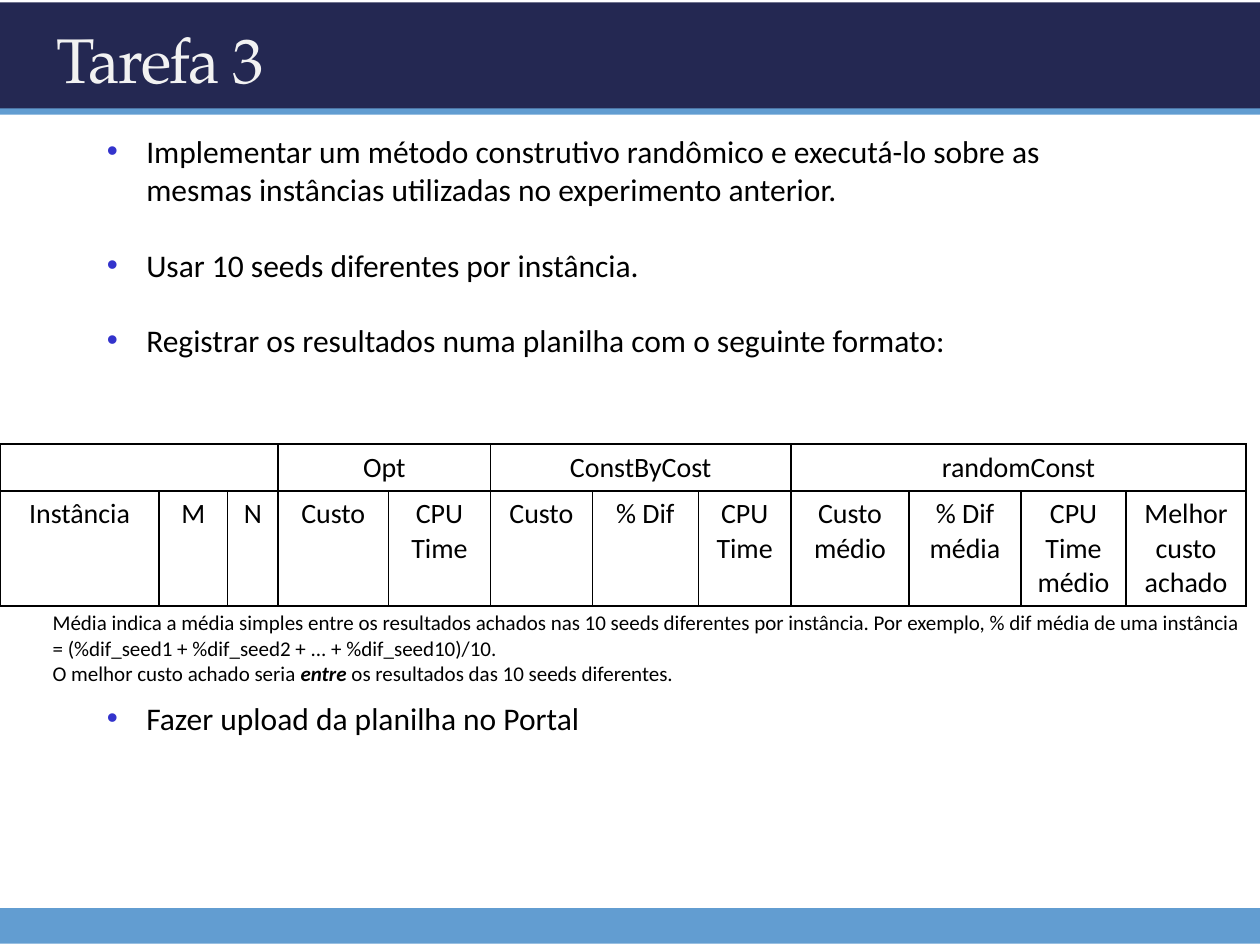
from dataclasses import dataclass

from lxml.etree import SubElement
from pptx import Presentation
from pptx.dml.color import RGBColor
from pptx.enum.shapes import MSO_SHAPE
from pptx.enum.text import MSO_ANCHOR, PP_ALIGN
from pptx.oxml.ns import qn
from pptx.util import Pt

COLORS = {
    "navy": "242852",
    "blue": "629DD1",
    "title": "F2F2F2",
    "bullet": "3333CC",
    "ink": "000000",
}
LINE = 21.6


@dataclass
class Band:
    top: float
    height: float
    color: str


@dataclass
class Item:
    text: str
    before: float


@dataclass
class Group:
    text: str
    heads: list[str]


BANDS = [
    Band(1.4, 62, "navy"),
    Band(519, 20.2, "blue"),
    Band(62, 3.6, "blue"),
]
ITEMS = [
    Item("Implementar um método construtivo randômico e executá-lo sobre as "
         "mesmas instâncias utilizadas no experimento anterior.", 0),
    Item("Usar 10 seeds diferentes por instância.", LINE),
    Item("Registrar os resultados numa planilha com o seguinte formato:", LINE),
    Item("Fazer upload da planilha no Portal", 9 * LINE),
]
GROUPS = [
    Group("", ["Instância", "M", "N"]),
    Group("Opt", ["Custo", "CPU Time"]),
    Group("ConstByCost", ["Custo", "% Dif", "CPU Time"]),
    Group("randomConst", ["Custo\nmédio", "% Dif\nmédia", "CPU Time médio",
                          "Melhor custo achado"]),
]
WIDTHS = [91, 39, 29, 63, 58.3, 58.3, 60.5, 53, 67.5, 64, 60, 68.6]
ROWS = [26.7, 65.8]
NOTES = [
    ["Média indica a média simples entre os resultados achados nas 10 seeds "
     "diferentes por instância. Por exemplo, % dif média de uma instância = "
     "(%dif_seed1 + %dif_seed2 + ... + %dif_seed10)/10."],
    ["O melhor custo achado seria ", "entre",
     " os resultados das 10 seeds diferentes."],
]


def rgb(name: str) -> RGBColor:
    return RGBColor.from_string(COLORS[name])


def style(frame, size: float, color: str = "ink", face: str = "Calibri") -> None:
    for para in frame.paragraphs:
        for run in para.runs:
            run.font.size = Pt(size)
            run.font.name = face
            run.font.color.rgb = rgb(color)


def add_box(slide, left: float, top: float, width: float, height: float):
    box = slide.shapes.add_textbox(Pt(left), Pt(top), Pt(width), Pt(height))
    box.text_frame.word_wrap = True
    return box.text_frame


def add_band(slide, band: Band) -> None:
    rect = slide.shapes.add_shape(
        MSO_SHAPE.RECTANGLE, 0, Pt(band.top), Pt(720), Pt(band.height))
    rect.shadow.inherit = False
    rect.fill.solid()
    rect.fill.fore_color.rgb = rgb(band.color)
    rect.line.fill.background()


def add_title(slide, text: str) -> None:
    frame = add_box(slide, 32.4, 0.7, 680, 65.5)
    frame.margin_left = frame.margin_right = 0
    frame.margin_top = frame.margin_bottom = 0
    frame.vertical_anchor = MSO_ANCHOR.MIDDLE
    frame.text = text
    style(frame, 36, "title", "TeX Gyre Pagella")
    frame.paragraphs[0].runs[0].font._element.set("spc", "-100")


def add_list(slide, items: list[Item]) -> None:
    frame = add_box(slide, 54, 72, 603.4, 393)
    frame.text = "\n".join(item.text for item in items)
    for para, item in zip(frame.paragraphs, items):
        para.line_spacing = Pt(LINE)
        para.space_before = Pt(item.before)
        # Bullet with hanging indent
        props = para._p.get_or_add_pPr()
        props.set("marL", str(Pt(22.5)))
        props.set("indent", str(-Pt(22.5)))
        tint = SubElement(props, qn("a:buClr"))
        SubElement(tint, qn("a:srgbClr"), val=COLORS["bullet"])
        SubElement(props, qn("a:buFont"), typeface="Arial")
        SubElement(props, qn("a:buChar"), char="•")
    style(frame, 18)


def set_cell(cell, text: str) -> None:
    cell.text_frame.text = text
    for para in cell.text_frame.paragraphs:
        para.alignment = PP_ALIGN.CENTER
    style(cell.text_frame, 16)


def frame_cell(cell) -> None:
    props = cell._tc.get_or_add_tcPr()
    for side in ("lnL", "lnR", "lnT", "lnB"):
        line = SubElement(props, qn(f"a:{side}"), w=str(Pt(1)))
        fill = SubElement(line, qn("a:solidFill"))
        SubElement(fill, qn("a:srgbClr"), val=COLORS["ink"])
    cell.fill.background()
    if not cell.text_frame.text:
        cell.margin_top = cell.margin_bottom = 0


def add_grid(slide, groups: list[Group]) -> None:
    table = slide.shapes.add_table(
        len(ROWS), len(WIDTHS), 0, Pt(253.8), Pt(sum(WIDTHS)), Pt(sum(ROWS))).table
    table.first_row = table.horz_banding = False
    for col, width in zip(table.columns, WIDTHS):
        col.width = Pt(width)
    for row, height in zip(table.rows, ROWS):
        row.height = Pt(height)
    # Group names span their column heads
    start = 0
    for group in groups:
        end = start + len(group.heads)
        table.cell(0, start).merge(table.cell(0, end - 1))
        set_cell(table.cell(0, start), group.text)
        for col, head in enumerate(group.heads, start):
            set_cell(table.cell(1, col), head)
        start = end
    for cell in table.iter_cells():
        frame_cell(cell)


def add_notes(slide, notes: list[list[str]]) -> None:
    frame = add_box(slide, 23, 345, 697, 51)
    for index, parts in enumerate(notes):
        para = frame.add_paragraph() if index else frame.paragraphs[0]
        for part in parts:
            para.add_run().text = part
    style(frame, 12)
    word = frame.paragraphs[1].runs[1]
    word.font.bold = word.font.italic = True


def main() -> None:
    deck = Presentation()
    deck.slide_width, deck.slide_height = Pt(720), Pt(540)
    slide = deck.slides.add_slide(deck.slide_layouts[6])
    # Header and footer
    for band in BANDS:
        add_band(slide, band)
    add_title(slide, "Tarefa 3")
    # Task steps, result sheet and remarks
    add_list(slide, ITEMS)
    add_grid(slide, GROUPS)
    add_notes(slide, NOTES)
    deck.save("out.pptx")


if __name__ == "__main__":
    main()
